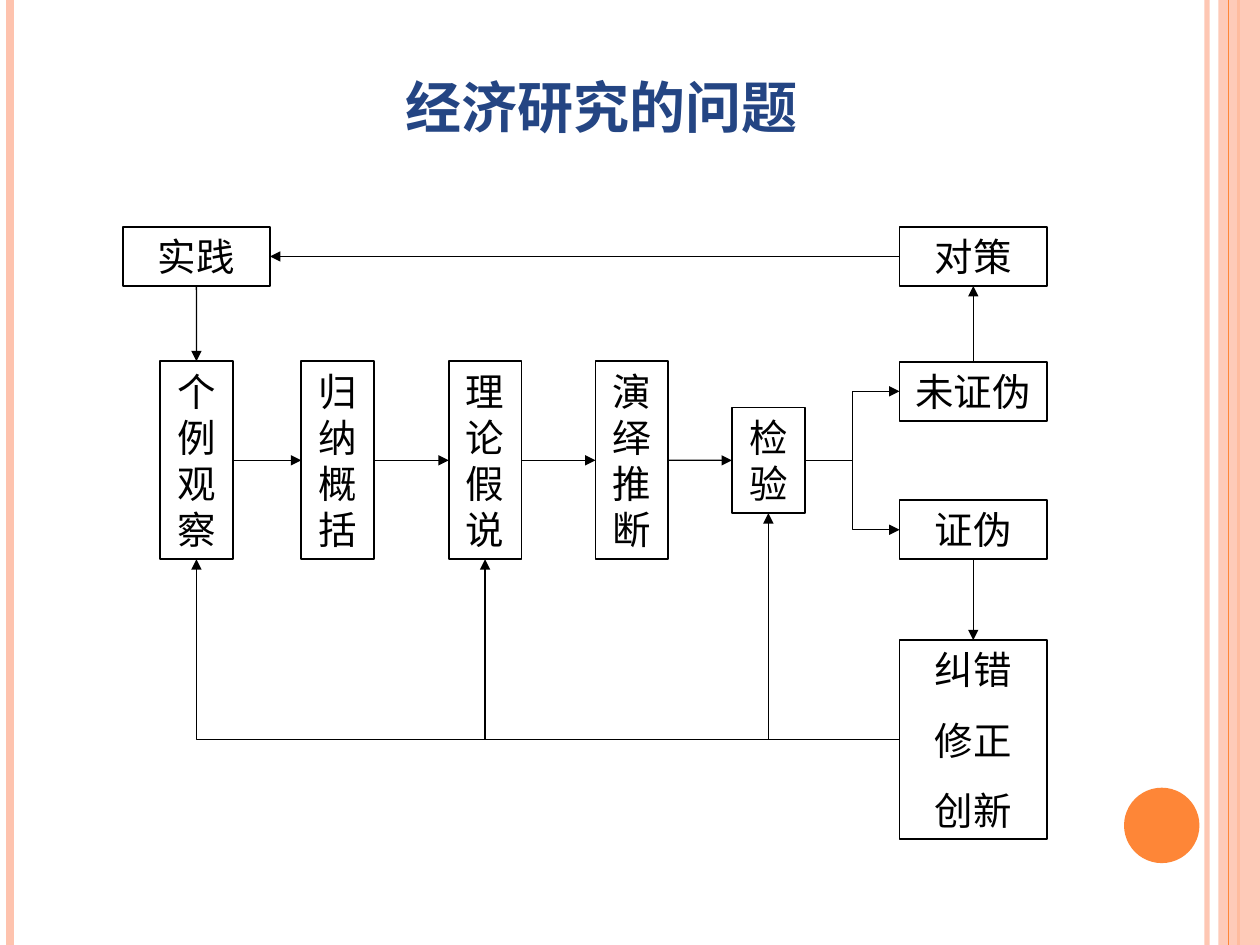
import pptx
import pptx.util
from lxml import etree
from pptx.dml.color import RGBColor
from pptx.enum.shapes import MSO_CONNECTOR, MSO_SHAPE
from pptx.enum.text import MSO_ANCHOR, MSO_AUTO_SIZE, PP_ALIGN
from pptx.oxml.ns import qn
from pptx.util import Cm, Pt

TITLE = "经济研究的问题"
INK, NAVY, ORANGE, PEACH = "000000", "244583", "FE8637", "FEC3AE"
SLIDE_WIDTH, SLIDE_HEIGHT = 25.4, 19.05

NARROW, WIDE = 1.47, 2.97
LEFT_X, RIGHT_X, STEP_Y = 3.96, 19.62, 9.28
BOXES = [
    ("个例观察", LEFT_X, STEP_Y, NARROW, 3.99),
    ("归纳概括", 6.81, STEP_Y, NARROW, 3.99),
    ("理论假说", 9.78, STEP_Y, NARROW, 3.99),
    ("演绎推断", 12.74, STEP_Y, NARROW, 3.99),
    ("检验", 15.49, STEP_Y, NARROW, 2.13),
    ("未证伪", RIGHT_X, 7.89, WIDE, 1.19),
    ("证伪", RIGHT_X, 10.68, WIDE, 1.19),
    ("纠错\n修正\n创新", RIGHT_X, 14.91, WIDE, 4.01),
    ("对策", RIGHT_X, 5.17, WIDE, 1.19),
    ("实践", LEFT_X, 5.17, WIDE, 1.19),
]
TOP, LEFT, BOTTOM, RIGHT = range(4)
STRAIGHT, CORNER, ELBOW = "line", "bentConnector2", "bentConnector3"
REVISION = "纠错\n修正\n创新"
ARROWS = [
    ("个例观察", RIGHT, "归纳概括", LEFT, STRAIGHT),
    ("归纳概括", RIGHT, "理论假说", LEFT, STRAIGHT),
    ("理论假说", RIGHT, "演绎推断", LEFT, STRAIGHT),
    ("演绎推断", RIGHT, "检验", LEFT, STRAIGHT),
    ("检验", RIGHT, "未证伪", LEFT, ELBOW),
    ("检验", RIGHT, "证伪", LEFT, ELBOW),
    ("证伪", BOTTOM, REVISION, TOP, STRAIGHT),
    ("未证伪", TOP, "对策", BOTTOM, STRAIGHT),
    ("对策", LEFT, "实践", RIGHT, STRAIGHT),
    ("实践", BOTTOM, "个例观察", TOP, STRAIGHT),
    (REVISION, LEFT, "个例观察", BOTTOM, CORNER),
    (REVISION, LEFT, "理论假说", BOTTOM, CORNER),
    (REVISION, LEFT, "检验", BOTTOM, CORNER),
]


def color(hex_string):
    return RGBColor.from_string(hex_string)


def set_alpha(properties, percent):
    fill_color = properties.find(".//" + qn("a:srgbClr"))
    etree.SubElement(fill_color, qn("a:alpha"), val=str(percent * 1000))


def add_line(slide, ends, hex_string, width, kind=STRAIGHT):
    route = MSO_CONNECTOR.STRAIGHT if kind == STRAIGHT else MSO_CONNECTOR.ELBOW
    line = slide.shapes.add_connector(route, *(Cm(value) for value in ends))
    line.line.width = Pt(width)
    line.line.color.rgb = color(hex_string)
    properties = line._element.spPr
    properties.find(qn("a:prstGeom")).set("prst", kind)
    etree.SubElement(properties, qn("a:effectLst"))
    return line


def add_filled(slide, preset, hex_string, *frame):
    shape = slide.shapes.add_shape(preset, *(Cm(value) for value in frame))
    shape.shadow.inherit = False
    shape.fill.solid()
    shape.fill.fore_color.rgb = color(hex_string)
    shape.line.fill.background()
    return shape


def add_rail(slide, x, hex_string, width):
    return add_line(slide, (x, 0, x, SLIDE_HEIGHT), hex_string, width)


def add_decoration(slide):
    inner_rail = add_rail(slide, 24.33, PEACH, 3)
    set_alpha(inner_rail._element.spPr, 93)
    add_rail(slide, 0.2, PEACH, 4.5)
    add_rail(slide, 24.97, ORANGE, 1.5)
    band = add_filled(slide, MSO_SHAPE.RECTANGLE, PEACH, 24.56, 0, 0.84, SLIDE_HEIGHT)
    set_alpha(band._element.spPr, 87)
    add_rail(slide, 24.77, ORANGE, 0.75)
    add_filled(slide, MSO_SHAPE.OVAL, ORANGE, 22.66, 15.88, 1.52, 1.52)


def add_title(slide):
    title = slide.shapes.add_textbox(Cm(7.92), Cm(0.66), Cm(9.65), Cm(3))
    title.text_frame.word_wrap = True
    paragraph = title.text_frame.paragraphs[0]
    paragraph.text = TITLE
    paragraph.line_spacing = 1.5
    paragraph.font.size = Pt(32)
    paragraph.font.bold = True
    paragraph.font.name = "Noto Sans CJK SC"
    paragraph.font.color.rgb = color(NAVY)


def add_box(slide, label, center_x, center_y, width, height):
    box = slide.shapes.add_shape(
        MSO_SHAPE.RECTANGLE, Cm(center_x - width / 2), Cm(center_y - height / 2), Cm(width), Cm(height)
    )
    box.shadow.inherit = False
    box.fill.background()
    box.line.color.rgb = color(INK)
    box.line.width = Pt(1)
    frame = box.text_frame
    frame.word_wrap = True
    frame.auto_size = MSO_AUTO_SIZE.SHAPE_TO_FIT_TEXT
    frame.vertical_anchor = MSO_ANCHOR.TOP
    frame.text = label
    for index, paragraph in enumerate(frame.paragraphs):
        paragraph.alignment = PP_ALIGN.CENTER
        if index:
            paragraph.space_before = Pt(13.8)
        paragraph.font.size = Pt(22)
        paragraph.font.name = "Times New Roman"
        paragraph.font.color.rgb = color(INK)
    return box


def add_arrow(slide, boxes, source, source_side, target, target_side, kind):
    arrow = add_line(slide, (0, 0, 0, 0), INK, 0.75, kind)
    arrow.begin_connect(boxes[source], source_side)
    arrow.end_connect(boxes[target], target_side)
    etree.SubElement(arrow._element.spPr.find(qn("a:ln")), qn("a:tailEnd"), type="triangle")


def main():
    presentation = pptx.Presentation()
    presentation.slide_width = Cm(SLIDE_WIDTH)
    presentation.slide_height = Cm(SLIDE_HEIGHT)
    slide = presentation.slides.add_slide(presentation.slide_layouts[6])
    add_decoration(slide)
    boxes = {box[0]: add_box(slide, *box) for box in BOXES}
    for arrow in ARROWS:
        add_arrow(slide, boxes, *arrow)
    add_title(slide)
    presentation.save("out.pptx")


if __name__ == "__main__":
    main()
